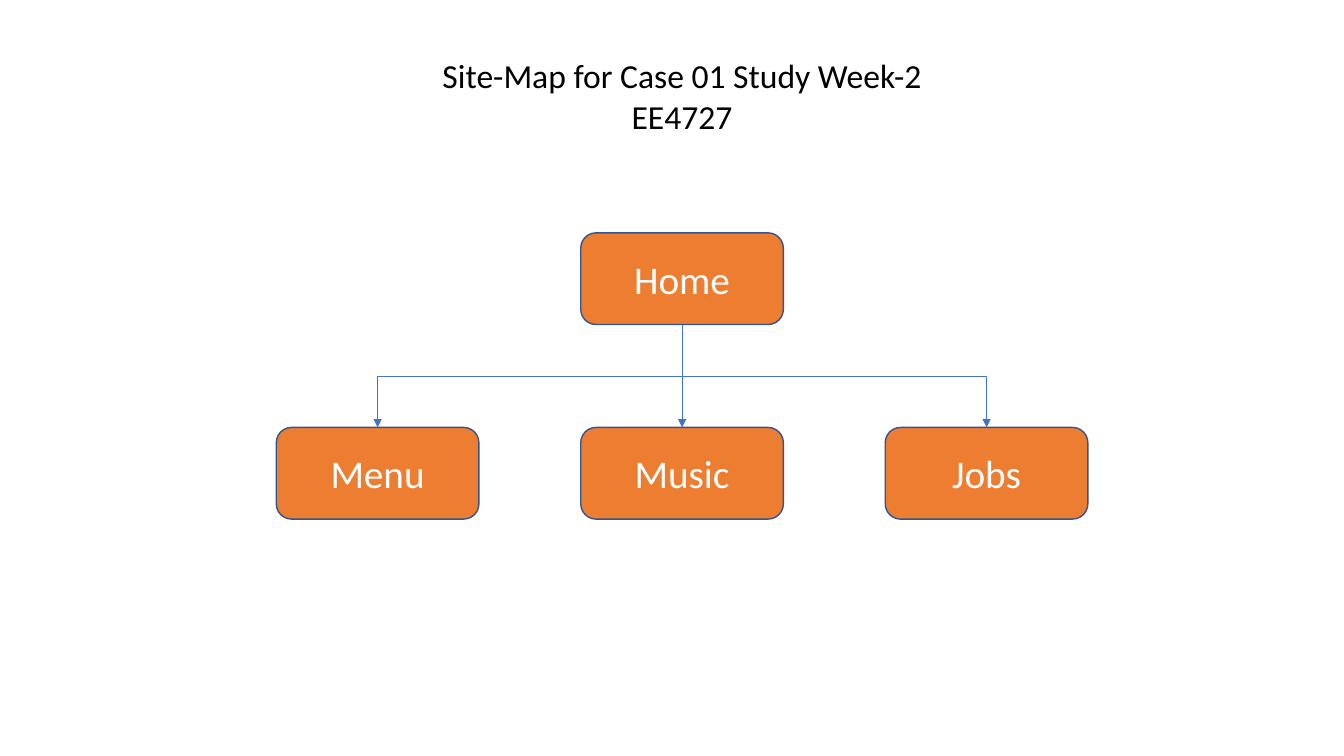
from pptx import Presentation
from pptx.dml.color import RGBColor
from pptx.enum.shapes import MSO_CONNECTOR as Link, MSO_SHAPE as Shape
from pptx.enum.text import MSO_ANCHOR as Anchor, MSO_AUTO_SIZE as Fit, PP_ALIGN as Align
from pptx.oxml.ns import qn
from pptx.util import Inches, Pt
from lxml import etree

ORANGE = RGBColor(0xED, 0x7D, 0x31)
NAVY = RGBColor(0x32, 0x54, 0x91)
BLUE = RGBColor(0x44, 0x72, 0xC4)
WHITE = RGBColor(0xFF, 0xFF, 0xFF)
BLACK = RGBColor(0, 0, 0)

WIDTH, HEIGHT = 2.01, 0.91
LEFT, STEP = 2.74, 3.02
HOME_TOP, PAGE_TOP = 2.31, 4.24
DROP = PAGE_TOP - HOME_TOP - HEIGHT
MID_Y = PAGE_TOP - DROP / 2

deck = Presentation()
deck.slide_width, deck.slide_height = Inches(13.33), Inches(7.5)
slide = deck.slides.add_slide(deck.slide_layouts[6])
shapes = slide.shapes


def write(frame, text, size, color):
    frame.word_wrap = True
    par = frame.paragraphs[0]
    par.text = text
    par.alignment = Align.CENTER
    par.font.name = "Calibri"
    par.font.size = Pt(size)
    par.font.color.rgb = color


def add_arrow(kind, x1, y1, x2, y2):
    arrow = shapes.add_connector(kind, Inches(x1), Inches(y1), Inches(x2), Inches(y2))
    arrow.line.color.rgb = BLUE
    arrow.line.width = Pt(0.5)
    etree.SubElement(arrow.line._get_or_add_ln(), qn("a:tailEnd"), type="triangle")
    etree.SubElement(arrow._element.spPr, qn("a:effectLst"))
    return arrow


# Pages of the site
boxes = {}
for name, col, top in [
    ("Home", 1, HOME_TOP),
    ("Menu", 0, PAGE_TOP),
    ("Music", 1, PAGE_TOP),
    ("Jobs", 2, PAGE_TOP),
]:
    box = shapes.add_shape(Shape.ROUNDED_RECTANGLE, Inches(LEFT + col * STEP),
                           Inches(top), Inches(WIDTH), Inches(HEIGHT))
    box.shadow.inherit = False
    box.fill.solid()
    box.fill.fore_color.rgb = ORANGE
    box.line.color.rgb = NAVY
    box.line.width = Pt(1)
    box.text_frame.vertical_anchor = Anchor.MIDDLE
    write(box.text_frame, name, 28, WHITE)
    boxes[name] = box

# Arrows from Home
home_x = LEFT + STEP + WIDTH / 2
arrow = add_arrow(Link.STRAIGHT, home_x, PAGE_TOP - DROP, home_x, PAGE_TOP)
arrow.begin_connect(boxes["Home"], 2)
arrow.end_connect(boxes["Music"], 0)

# An elbow leaves sideways, so each one is laid out upright and then turned
for side, angle in [(-1, 90), (1, 270)]:
    mid_x = home_x + side * STEP / 2
    half = side * DROP / 2
    elbow = add_arrow(Link.ELBOW, mid_x + half, MID_Y - STEP / 2,
                      mid_x - half, MID_Y + STEP / 2)
    elbow._element.spPr.xfrm.set("rot", str(angle * 60000))

# Title
title = shapes.add_textbox(Inches(4.1), Inches(0.5), Inches(5.33), Inches(0.91))
title.text_frame.auto_size = Fit.SHAPE_TO_FIT_TEXT
write(title.text_frame, "Site-Map for Case 01 Study Week-2 EE4727", 24, BLACK)

deck.save("out.pptx")
